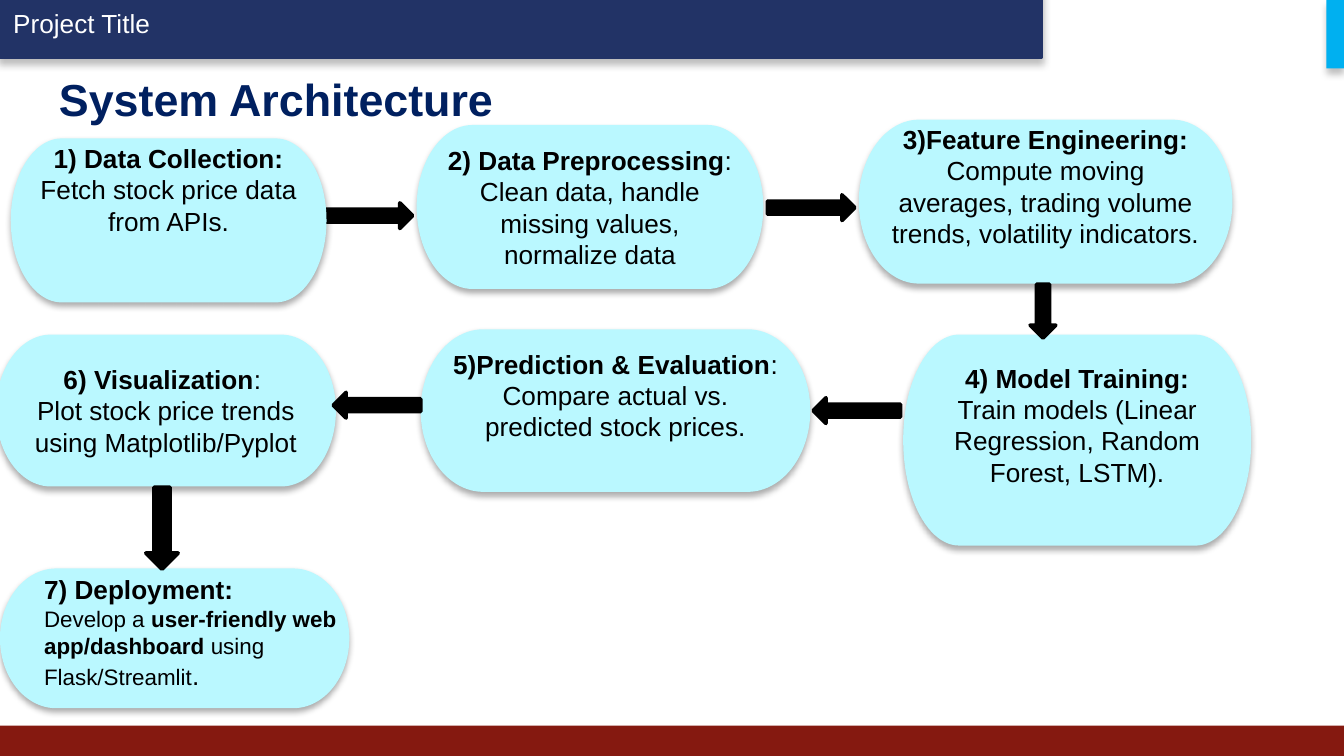
from lxml import etree
from pptx import Presentation
from pptx.dml.color import RGBColor
from pptx.enum.shapes import MSO_SHAPE
from pptx.enum.text import MSO_ANCHOR, PP_ALIGN
from pptx.oxml.ns import qn
from pptx.util import Inches, Pt

RECT, PILL, ARROW = MSO_SHAPE.RECTANGLE, MSO_SHAPE.FLOWCHART_TERMINATOR, MSO_SHAPE.RIGHT_ARROW
TOP, MIDDLE = MSO_ANCHOR.TOP, MSO_ANCHOR.MIDDLE
LEFT, CENTER = PP_ALIGN.LEFT, PP_ALIGN.CENTER

# Square grid cells: the slide is 100 columns by 56.25 rows (16:9)
CELL = Inches(0.1)
COLUMNS, ROWS = 100, 56.25
NAVY, TITLE_BLUE, SKY, MAROON = "223366", "002060", "00B0F0", "851910"
AQUA, BLACK, WHITE = "BAF8FF", "000000", "FFFFFF"
# Shadow: opacity in percent, blur and distance in points
BAR_SHADOW, STEP_SHADOW = (25, 4, 3), (32, 3.5, 2.2)
INSET = 0.5
LINE_ROWS = 2.3  # height of one 14 pt line

# Box, heading, mark after the heading, body, lines the text is raised by
FIRST_STEP = ((0.8, 10.3, 23.5, 12.2), "1) Data Collection:", "",
              "Fetch stock price data from APIs.", 2)
NEXT_STEPS = [
    ((31, 9.3, 25.8, 12.2), "2) Data Preprocessing", ":",
     "Clean data, handle missing values, normalize data", 0),
    ((63.9, 8.9, 27.8, 12.2), "3)Feature Engineering:", "",
     "Compute moving averages, trading volume trends, volatility indicators.", 1),
    ((67.2, 24.9, 25.9, 15.7), "4) Model Training:", "",
     "Train models (Linear Regression, Random Forest, LSTM).", 1),
    ((31.3, 24.5, 29, 12.1), "5)Prediction & Evaluation", ":",
     "Compare actual vs. predicted stock prices.", 1),
    ((-0.3, 24.9, 25.3, 11.3), "6) Visualization", ": ",
     "Plot stock price trends using Matplotlib/Pyplot", 0),
]

# Box before turning, and angle
ARROWS = [
    ((24.2, 15.1, 6.5, 1.9), 0),
    ((57.1, 14.5, 6.5, 1.9), 0),
    ((75.6, 22.2, 4, 1.9), 90),
    ((60.5, 29.6, 6.5, 1.9), 180),
    ((24.8, 29.2, 6.5, 1.9), 180),
    ((9, 38.1, 6.1, 2.4), 90),
]


def color(value):
    return RGBColor.from_string(value)


def cells(count):
    return round(count * CELL)


def add_block(page, kind, box, fill, line=None, shadow=None):
    shape = page.shapes.add_shape(kind, *map(cells, box))
    shape.fill.solid()
    shape.fill.fore_color.rgb = color(fill)
    if line:
        shape.line.color.rgb = color(line)
        shape.line.width = Pt(2)
    else:
        shape.line.fill.background()
    shape.shadow.inherit = False
    if shadow:
        opacity, blur, distance = shadow
        effects = shape._element.spPr.find(qn("a:effectLst"))
        outer = etree.SubElement(effects, qn("a:outerShdw"), blurRad=str(Pt(blur)),
                                 dist=str(Pt(distance)), dir="5400000", rotWithShape="0")
        tint = etree.SubElement(outer, qn("a:srgbClr"), val=BLACK)
        etree.SubElement(tint, qn("a:alpha"), val=str(opacity * 1000))
    return shape


def write(shape, paras, align=LEFT, anchor=TOP, ink=BLACK, raised=0):
    """Fill a shape with paragraphs, each a list of (text, size, bold)."""
    frame = shape.text_frame
    layout = {
        "word_wrap": True, "vertical_anchor": anchor,
        "margin_left": cells(2 * INSET), "margin_right": cells(2 * INSET),
        "margin_top": cells(INSET), "margin_bottom": cells(INSET + raised * LINE_ROWS),
    }
    for name, value in layout.items():
        setattr(frame, name, value)
    for index, spans in enumerate(paras):
        para = frame.add_paragraph() if index else frame.paragraphs[0]
        para.alignment = align
        for text, size, bold in spans:
            span = para.add_run()
            span.text = text
            for name, value in {"name": "Arial", "size": Pt(size), "bold": bold}.items():
                setattr(span.font, name, value)
            span.font.color.rgb = color(ink)


def add_text(page, box, paras, **style):
    write(page.shapes.add_textbox(*map(cells, box)), paras, **style)


def add_header(page, box):
    """Project bar at the left, accent at the right edge."""
    left, top, width, height = box
    bar = add_block(page, RECT, (left, top - 0.85, width * 0.775, height), NAVY, NAVY, BAR_SHADOW)
    write(bar, [[("Project Title", 14, False)]], anchor=MIDDLE, ink=WHITE)
    add_block(page, RECT, (left + width * 0.987, top, width * 0.013, height), SKY,
              shadow=BAR_SHADOW)


def add_step(page, box, heading, mark, body, raised):
    pill = add_block(page, PILL, box, AQUA, shadow=STEP_SHADOW)
    spans = [(heading, 14, True)]
    if mark:
        spans.append((mark, 14, False))
    write(pill, [spans, [(body, 14, False)]], CENTER, MIDDLE, raised=raised)


def add_deployment(page, box):
    """Last step: its text sits in a box of its own, set in from the left."""
    left, top, width, height = box
    add_block(page, PILL, box, AQUA, shadow=STEP_SHADOW)
    add_text(page, (left + 2.3, top - 0.1, width - 1.6, height - 0.6), [
        [("7) Deployment:", 14, True)],
        [("Develop a ", 12, False), ("user-friendly web app/dashboard", 12, True),
         (" using Flask/Streamlit", 12, False), (".", 14, False)],
    ])


def add_arrow(page, box, angle):
    add_block(page, ARROW, box, BLACK, BLACK).rotation = angle


def main():
    deck = Presentation()
    deck.slide_width, deck.slide_height = cells(COLUMNS), cells(ROWS)
    page = deck.slides.add_slide(deck.slide_layouts[6])

    # Frame and title
    add_header(page, (0, 0, COLUMNS, 5.1))
    add_block(page, RECT, (0, 54, COLUMNS, ROWS - 54), MAROON)
    add_text(page, (3.4, 4.85, 93.2, 6.3), [[("System Architecture", 24, True)]], ink=TITLE_BLUE)

    # Flow: the first step covers the tail of its arrow
    for step in NEXT_STEPS:
        add_step(page, *step)
    add_deployment(page, (0, 42.3, 26, 10.4))
    for box, angle in ARROWS:
        add_arrow(page, box, angle)
    add_step(page, *FIRST_STEP)

    deck.save("out.pptx")


if __name__ == "__main__":
    main()
